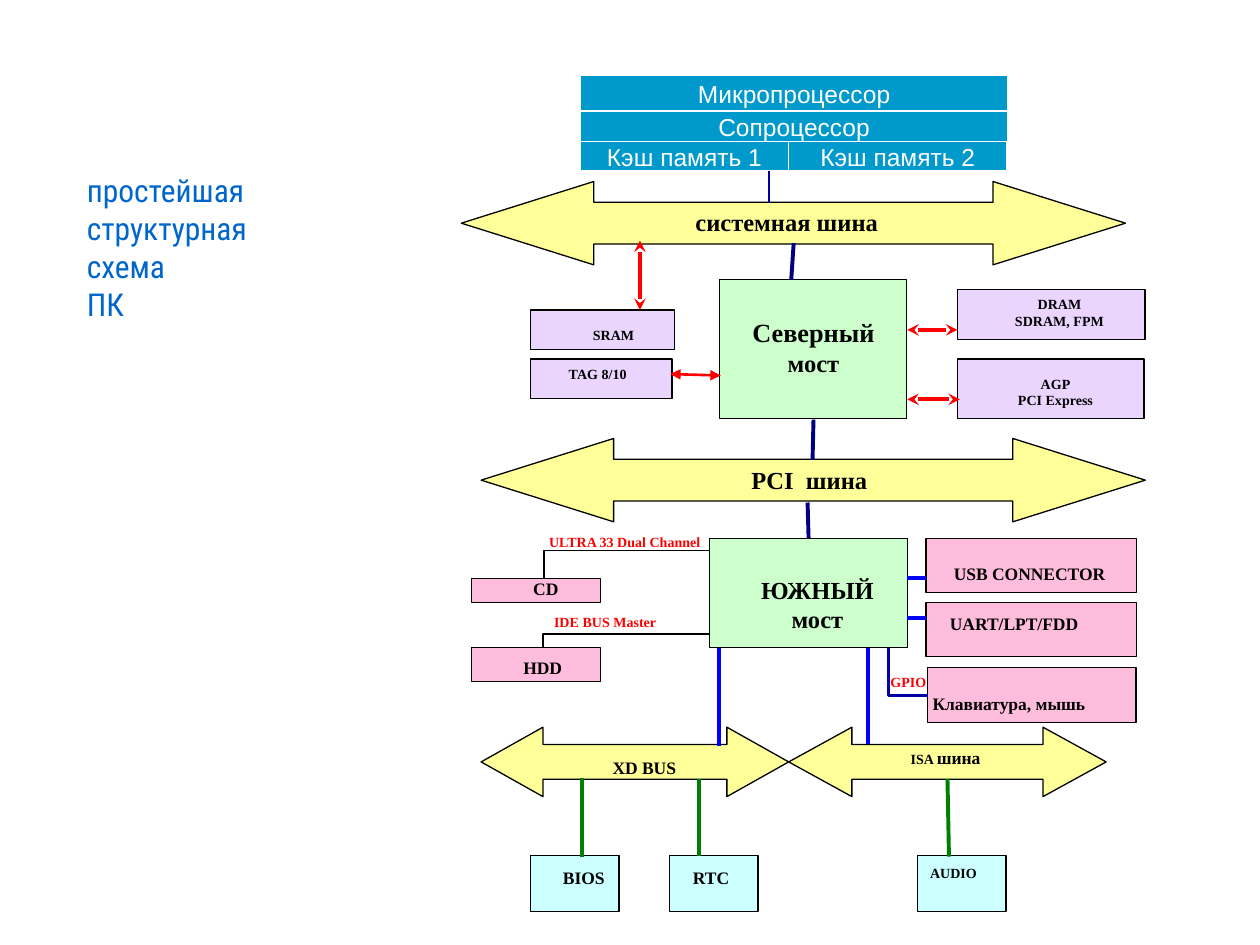
from lxml import etree
from pptx import Presentation
from pptx.dml.color import RGBColor
from pptx.enum.shapes import MSO_CONNECTOR, MSO_SHAPE
from pptx.enum.text import MSO_ANCHOR, PP_ALIGN
from pptx.oxml.ns import qn
from pptx.util import Cm, Pt

BOX = MSO_SHAPE.FLOWCHART_PROCESS
RECTANGLE = MSO_SHAPE.RECTANGLE
BUS = MSO_SHAPE.LEFT_RIGHT_ARROW
STRAIGHT = MSO_CONNECTOR.STRAIGHT
ELBOW = MSO_CONNECTOR.ELBOW
LEFT, CENTER = PP_ALIGN.LEFT, PP_ALIGN.CENTER
MIDDLE = MSO_ANCHOR.MIDDLE

COLORS = {
    "black": "000000", "white": "FFFFFF", "red": "FF0000", "blue": "0000FF",
    "navy": "000080", "ink": "0000A4", "green": "008000", "title": "0066CC",
    "cpu": "0099CC", "bus": "FFFF99", "bridge": "CCFFCC", "memory": "CC99FF",
    "port": "FF99CC", "chip": "CCFFFF",
}
OPACITY = {"memory": 41, "port": 64}
SERIF, SANS, TITLE_FONT = "Times New Roman", "Arial", "Roboto Condensed"


def rgb(name):
    return RGBColor.from_string(COLORS[name])


class Diagram:
    def __init__(self, slide):
        self.slide = slide

    def shape(self, box, fill, kind=BOX, line="black"):
        shape = self.slide.shapes.add_shape(kind, *map(Cm, box))
        shape.shadow.inherit = False
        shape.fill.solid()
        shape.fill.fore_color.rgb = rgb(fill)
        if fill in OPACITY:
            color = shape.fill._xPr.find(qn("a:solidFill"))[0]
            etree.SubElement(color, qn("a:alpha"), val=str(OPACITY[fill] * 1000))
        shape.line.color.rgb = rgb(line)
        shape.line.width = Pt(0.75)
        return shape

    def bus(self, box, head):
        shape = self.shape(box, "bus", BUS)
        shape.adjustments[0] = 0.5
        shape.adjustments[1] = head

    def cpu_part(self, text, box, kind):
        frame = self.shape(box, "cpu", kind, "white").text_frame
        frame.text = text
        frame.word_wrap = False
        frame.vertical_anchor = MIDDLE
        self.format(frame, [14], "white", CENTER, SANS, False)

    def format(self, frame, sizes, color, align, font, bold):
        for paragraph, size in zip(frame.paragraphs, sizes):
            paragraph.alignment = align
            for run in paragraph.runs:
                run.font.name = font
                run.font.size = Pt(size)
                run.font.bold = bold
                run.font.color.rgb = rgb(color)

    def label(self, text, box, sizes, color="black", align=LEFT, font=SERIF,
              bold=True, wrap=True, inset=None):
        frame = self.slide.shapes.add_textbox(*map(Cm, box)).text_frame
        frame.text = text
        frame.word_wrap = wrap
        if inset is not None:
            frame.margin_left = frame.margin_right = Cm(inset)
            frame.margin_top = frame.margin_bottom = Cm(inset)
        self.format(frame, sizes, color, align, font, bold)
        return frame

    def line(self, points, color, width=2.25, arrows=None, kind=STRAIGHT):
        connector = self.slide.shapes.add_connector(kind, *map(Cm, points))
        connector.line.color.rgb = rgb(color)
        connector.line.width = Pt(width)
        properties = connector._element.spPr
        if kind == ELBOW:
            properties.find(qn("a:prstGeom")).set("prst", "bentConnector2")
        if arrows:
            outline = properties.find(qn("a:ln"))
            for end in ("a:headEnd", "a:tailEnd"):
                etree.SubElement(outline, qn(end), type=arrows)
        etree.SubElement(properties, qn("a:effectLst"))


def main():
    presentation = Presentation()
    presentation.slide_width, presentation.slide_height = Cm(25.4), Cm(19.05)
    slide = presentation.slides.add_slide(presentation.slide_layouts[6])
    diagram = Diagram(slide)

    # Buses
    for box, head in [
        ((9.3, 3.66, 13.39, 1.68), 1.59), ((9.7, 8.84, 13.39, 1.68), 1.59),
        ((9.7, 14.66, 6.2, 1.4), 0.89), ((15.9, 14.66, 6.4, 1.4), 0.91),
    ]:
        diagram.bus(box, head)

    # Bridges, memory, ports and drives
    for fill, boxes in {
        "bridge": [(14.5, 5.64, 3.78, 2.8), (14.3, 10.85, 4, 2.2)],
        "memory": [(19.3, 5.84, 3.78, 1), (19.3, 7.24, 3.76, 1.2),
                   (10.7, 7.24, 2.85, 0.8), (10.7, 6.25, 2.9, 0.8)],
        "port": [(18.67, 10.85, 4.24, 1.1), (18.67, 12.14, 4.24, 1.1),
                 (18.7, 13.46, 4.2, 1.1), (9.5, 13.06, 2.6, 0.68),
                 (9.5, 11.66, 2.6, 0.48)],
        "chip": [(left, 17.25, 1.78, 1.12) for left in (10.7, 13.5, 18.5)],
    }.items():
        for box in boxes:
            diagram.shape(box, fill)

    # Links between the parts
    for color, links in {
        "navy": [(15.95, 5.64, 16, 4.9), (16.38, 9.27, 16.4, 8.46),
                 (16.28, 10.13, 16.3, 10.85)],
        "blue": [(17.5, 13.06, 17.5, 14.99), (14.5, 13.06, 14.5, 15.04),
                 (18.29, 11.66, 18.67, 11.66), (18.29, 12.45, 18.67, 12.45)],
        "green": [(19.1, 15.7, 19.13, 17.27), (14.1, 15.7, 14.1, 17.25),
                  (11.74, 15.68, 11.74, 17.27)],
    }.items():
        for points in links:
            diagram.line(points, color)

    # Two-way memory links
    for points in [(19.3, 6.65, 18.29, 6.65), (19.35, 8.05, 18.29, 8.05),
                   (12.9, 4.85, 12.9, 6.25)]:
        diagram.line(points, "red", arrows="stealth")
    diagram.line((13.51, 7.54, 14.53, 7.57), "red", 1.5, "triangle")

    # Right-angled links of the south bridge
    diagram.line((14.3, 11.1, 10.97, 11.66), "black", 0.75, kind=ELBOW)
    diagram.line((14.3, 12.78, 10.95, 13.06), "black", 0.75, kind=ELBOW)
    diagram.line((18.7, 14.02, 17.91, 13.06), "ink", 1.5, kind=ELBOW)

    # Labels aligned left
    for text, box, size, color in [
        ("системная шина", (13.77, 4.04, 6.2, 1.12), 14, "black"),
        ("PCI  шина", (14.9, 9.25, 4.4, 1.12), 14, "black"),
        ("XD BUS", (12.1, 15.14, 2.46, 1.12), 10, "black"),
        ("AUDIO", (18.5, 17.3, 2.28, 1.17), 8, "black"),
        ("RTC", (13.72, 17.35, 1.78, 1.12), 10, "black"),
        ("BIOS", (11.1, 17.35, 1.78, 1.12), 10, "black"),
        ("UART/LPT/FDD", (18.9, 12.24, 4.3, 0.64), 10, "black"),
        ("HDD", (10.3, 13.13, 1.78, 1.12), 10, "black"),
        ("CD", (10.5, 11.53, 1.78, 1.12), 10, "black"),
        ("GPIO", (17.7, 13.46, 1.78, 0.5), 8, "red"),
        ("IDE BUS Master", (10.92, 12.24, 3.58, 0.84), 8, "red"),
        ("ULTRA 33 Dual Channel", (10.82, 10.64, 5.28, 0.74), 8, "red"),
    ]:
        diagram.label(text, box, [size], color)
    diagram.label("USB CONNECTOR", (19.13, 11.25, 4.78, 1), [10], inset=0.1)
    diagram.label("Клавиатура, мышь", (18.7, 13.88, 4, 0.66), [10], inset=0.1)

    # The ISA label mixes two sizes
    isa = diagram.label("ISA ", (18.11, 14.94, 2.46, 1.12), [8])
    isa.paragraphs[0].add_run().text = "шина"
    diagram.format(isa, [10], "black", LEFT, SERIF, True)
    isa.paragraphs[0].runs[0].font.size = Pt(8)

    # Centred labels
    for text, box, sizes in [
        ("Северный\nмост", (14.3, 6.25, 4.2, 1.6), [15, 14]),
        ("ЮЖНЫЙ мост", (14.7, 11.46, 3.56, 2.24), [14]),
        ("AGP\nPCI Express", (19.5, 7.44, 3.56, 1.5), [8, 8]),
        ("DRAM\nSDRAM, FPM", (19.1, 5.84, 4.52, 1.65), [8, 8]),
        ("SRAM", (11.02, 6.45, 2.7, 1.4), [8]),
        ("TAG 8/10", (10.7, 7.24, 2.7, 1.4), [8]),
    ]:
        diagram.label(text, box, sizes, align=CENTER)

    # Processor block
    diagram.cpu_part("Микропроцессор", (11.7, 1.52, 8.62, 0.72), RECTANGLE)
    diagram.cpu_part("Сопроцессор", (11.7, 2.25, 8.62, 0.6), RECTANGLE)
    diagram.cpu_part("Кэш память 1", (11.7, 2.85, 4.2, 0.6), BOX)
    diagram.cpu_part("Кэш память 2", (15.9, 2.85, 4.4, 0.6), BOX)
    diagram.line((15.5, 3.45, 15.5, 4.09), "ink", 1)

    # Title
    diagram.label("простейшая\nструктурная\nсхема\nПК", (1.5, 3.33, 6.6, 10.41),
                  [18] * 4, "title", font=TITLE_FONT, bold=False, wrap=False)

    presentation.save("out.pptx")


if __name__ == "__main__":
    main()
